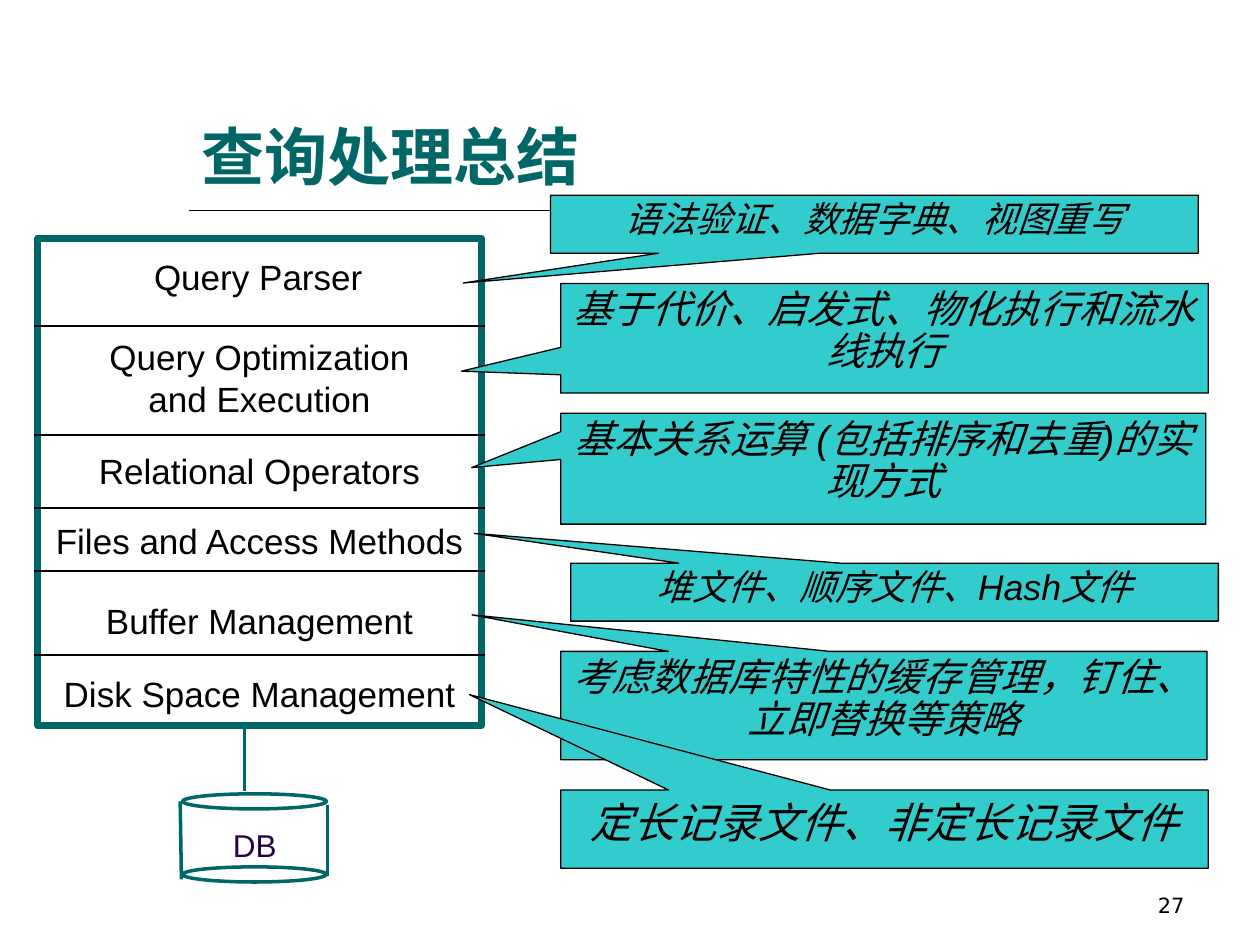
from dataclasses import dataclass

from lxml import etree
from pptx import Presentation
from pptx.dml.color import RGBColor
from pptx.enum import shapes, text
from pptx.oxml import ns
from pptx.util import Inches, Pt


@dataclass(frozen=True)
class Theme:
    teal: str = "006666"
    callout: str = "33CCCC"
    ink: str = "000000"
    database: str = "280049"
    font: str = "Arial"
    number_font: str = "DejaVu Sans"
    title_size: float = 36
    layer_size: float = 20
    database_size: float = 18
    number_size: float = 12


THEME = Theme()
LEFT, CENTER, RIGHT = text.PP_ALIGN.LEFT, text.PP_ALIGN.CENTER, text.PP_ALIGN.RIGHT
TOP, BOTTOM = text.MSO_ANCHOR.TOP, text.MSO_ANCHOR.BOTTOM

TITLE = "查询处理总结"
NUMBER = "27"
LAYERS = [
    (["Query Parser"], 2.05, 1.98),
    (["Query Optimization", "and Execution"], 2.06, 2.61),
    (["Relational Operators"], 2.06, 3.52),
    (["Files and Access Methods"], 2.06, 4.07),
    (["Buffer Management"], 2.06, 4.71),
    (["Disk Space Management"], 2.06, 5.29),
]
LAYER_WIDTH, LINE_HEIGHT = 3.45, 0.34
DIVIDERS = [2.59, 3.45, 4.03, 4.53, 5.2]
FRAME = (0.3, 1.89, 3.52, 3.87)
DISKS = [(1.45, top, 1.14, 0.12) for top in (6.3, 6.88)]
DATABASE_LINES = [
    (1.43, 6.36, 1.44, 6.98),
    (2.6, 6.39, 2.6, 6.95),
    (1.94, 5.78, 1.94, 6.28),
]
CALLOUTS = [
    ("语法验证、数据字典、视图重写", (4.37, 1.55, 5.14, 0.46), (-0.635, 1.015), 20.4, 0.9),
    ("基于代价、启发式、物化执行和流水线执行", (4.45, 2.25, 5.14, 0.87), (-0.653, 0.3), 22.2, 0.9),
    ("基本关系运算 (包括排序和去重)的实现方式", (4.45, 3.28, 5.12, 0.88), (-0.638, -0.01), 22.2, 0.9),
    ("堆文件、顺序文件、Hash文件", (4.53, 4.47, 5.14, 0.46), (-0.649, -1.015), 20.4, 0.9),
    ("考虑数据库特性的缓存管理，钉住、立即替换等策略", (4.45, 5.17, 5.13, 0.86), (-0.637, -0.837), 22.2, 0.9),
    ("定长记录文件、非定长记录文件", (4.45, 6.27, 5.14, 0.62), (-0.641, -1.722), 24, 1.0),
]


def rgb(color):
    return RGBColor.from_string(color)


def write(sp, lines, size, color=THEME.ink, font=THEME.font, align=CENTER,
          anchor=TOP, wrap=True, bold=False, italic=False, spacing=1.0):
    tf = sp.text_frame
    tf.word_wrap = wrap
    tf.vertical_anchor = anchor
    for i, line in enumerate(lines):
        p = tf.paragraphs[0] if i == 0 else tf.add_paragraph()
        p.text = line
        p.alignment = align
        p.line_spacing = spacing
        p.font.name = font
        p.font.size = Pt(size)
        p.font.bold = bold
        p.font.italic = italic
        p.font.color.rgb = rgb(color)


def add_text(s, box, lines, size, **style):
    sp = s.shapes.add_textbox(*map(Inches, box))
    write(sp, lines, size, **style)


def add_shape(s, kind, box, line, width, fill=None):
    sp = s.shapes.add_shape(kind, *map(Inches, box))
    sp.shadow.inherit = False
    if fill:
        sp.fill.solid()
        sp.fill.fore_color.rgb = rgb(fill)
    else:
        sp.fill.background()
    sp.line.color.rgb = rgb(line)
    sp.line.width = Pt(width)
    return sp


def add_line(s, ends, color, width):
    line = s.shapes.add_connector(shapes.MSO_CONNECTOR.STRAIGHT, *map(Inches, ends))
    line.line.color.rgb = rgb(color)
    line.line.width = Pt(width)
    etree.SubElement(line._element.spPr, ns.qn("a:effectLst"))


def add_architecture(s):
    for lines, center, top in LAYERS:
        box = (center - LAYER_WIDTH / 2, top, LAYER_WIDTH, 0.1 + LINE_HEIGHT * len(lines))
        add_text(s, box, lines, THEME.layer_size, wrap=False)
    add_shape(s, shapes.MSO_SHAPE.RECTANGLE, FRAME, THEME.teal, 4)
    for y in DIVIDERS:
        add_line(s, (0.27, y, 3.85, y), THEME.ink, 1)


def add_database(s):
    for box in DISKS:
        add_shape(s, shapes.MSO_SHAPE.OVAL, box, THEME.teal, 2)
    for ends in DATABASE_LINES:
        add_line(s, ends, THEME.teal, 2)
    add_text(s, (1.75, 6.51, 0.55, 0.4), ["DB"], THEME.database_size,
             color=THEME.database, align=LEFT, wrap=False)


def add_callouts(s):
    for label, box, tip, size, spacing in CALLOUTS:
        sp = add_shape(s, shapes.MSO_SHAPE.RECTANGULAR_CALLOUT, box,
                       THEME.ink, 0.75, THEME.callout)
        sp.adjustments[0], sp.adjustments[1] = tip
        write(sp, [label], size, italic=True, spacing=spacing)


def main():
    prs = Presentation()
    prs.slide_width, prs.slide_height = Inches(10), Inches(7.5)
    s = prs.slides.add_slide(prs.slide_layouts[6])
    add_line(s, (1.5, 1.67, 9.5, 1.67), THEME.ink, 1)
    add_text(s, (7.17, 6.83, 2.33, 0.5), [NUMBER], THEME.number_size,
             font=THEME.number_font, align=RIGHT, anchor=BOTTOM)
    add_text(s, (1.5, 0.33, 8, 1.25), [TITLE], THEME.title_size,
             color=THEME.teal, align=LEFT, anchor=BOTTOM, bold=True)
    add_architecture(s)
    add_database(s)
    add_callouts(s)
    prs.save("out.pptx")


if __name__ == "__main__":
    main()
